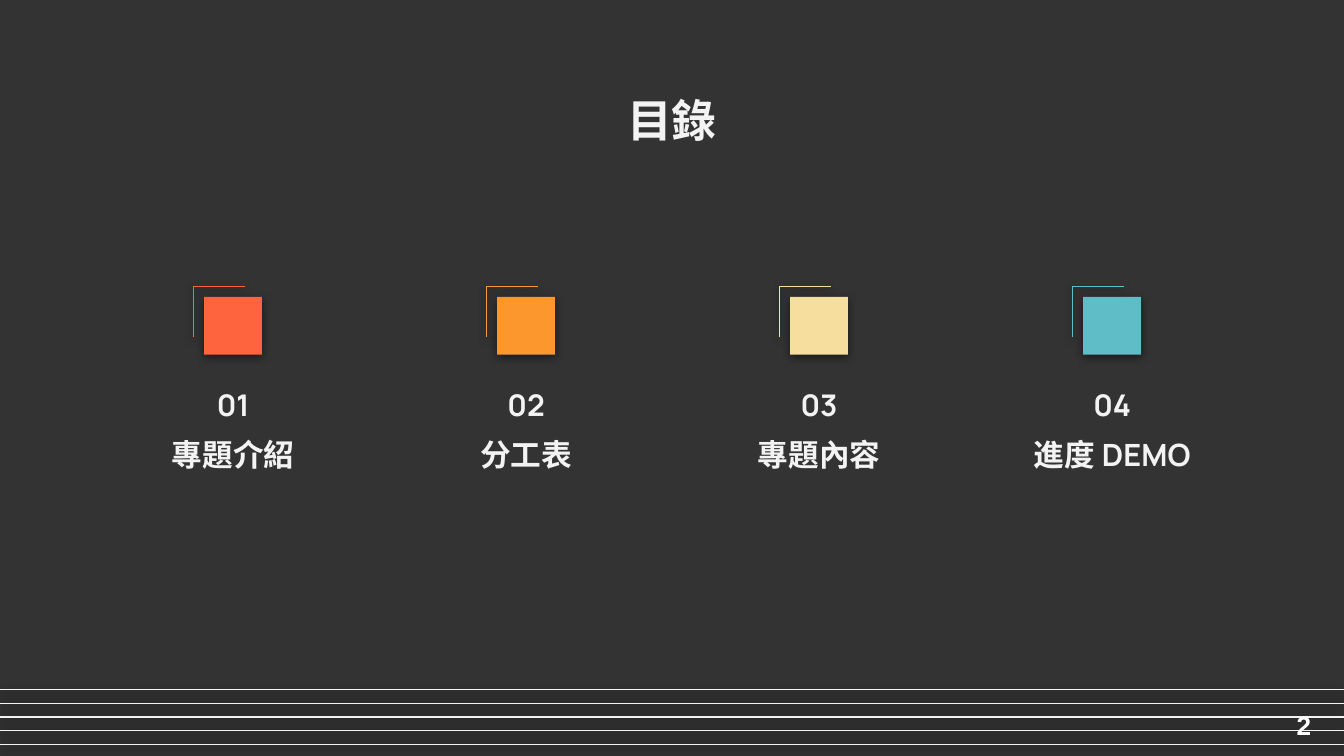
"""Build the contents slide with four numbered topics."""
from lxml import etree
from pptx import Presentation
from pptx import util as u
from pptx.dml.color import RGBColor
from pptx.enum import shapes, text

TITLE = "目錄"
TOPICS = [
    ("01", "專題介紹", "FE643E"),
    ("02", "分工表", "FC972D"),
    ("03", "專題內容", "F6DE9E"),
    ("04", "進度 DEMO", "5EBDC6"),
]
PAGE = "2"
PALE, WHITE, DARK = "F3F3F3", "FFFFFF", "333333"
FONT = "Manrope"
SLIDE_WIDTH = 10
SLIDE_HEIGHT = SLIDE_WIDTH * 9 / 16
TEXT_LEFT, SQUARE_LEFT, CORNER_LEFT = 0.7, 1.52, 1.44
COLUMN_STEP, COLUMN_WIDTH = 2.18, 2.07
SQUARE, CORNER = 0.43, 0.38
STAFF_TOP, STAFF_BOTTOM, STAFF_COUNT = 5.13, 5.54, 5

SHADOW = (
    '<a:effectLst xmlns:a="http://schemas.openxmlformats.org/drawingml/2006/main">'
    '<a:outerShdw blurRad="63500" dist="19050" dir="5400000" algn="bl" rotWithShape="0">'
    '<a:srgbClr val="000000"><a:alpha val="50000"/></a:srgbClr>'
    "</a:outerShdw></a:effectLst>"
)


def color(value):
    return RGBColor.from_string(value)


def box(left, top, width, height):
    return [u.Inches(n) for n in (left, top, width, height)]


def cast_shadow(part):
    part._element.spPr.append(etree.fromstring(SHADOW))


def draw_line(part, tint):
    part.line.color.rgb = color(tint)
    part.line.width = u.Pt(0.75)
    cast_shadow(part)


def write(part, words, size, anchor=text.MSO_ANCHOR.TOP, font=FONT, tint=PALE,
          align=text.PP_ALIGN.CENTER, inset=0.1, wrap=True):
    frame = part.text_frame
    frame.text = words
    frame.word_wrap = wrap
    frame.auto_size = text.MSO_AUTO_SIZE.NONE
    frame.vertical_anchor = anchor
    frame.margin_left = frame.margin_right = u.Inches(0.1)
    frame.margin_top = frame.margin_bottom = u.Inches(inset)
    line = frame.paragraphs[0]
    line.alignment = align
    style = line.runs[0].font
    style.name, style.size, style.bold = font, u.Pt(size), True
    style.color.rgb = color(tint)


def add_topic(slide, column, number, label, tint):
    shift = column * COLUMN_STEP
    number_box = slide.shapes.add_textbox(*box(TEXT_LEFT + shift, 2.75, COLUMN_WIDTH, 0.52))
    write(number_box, number, 16, text.MSO_ANCHOR.MIDDLE)
    label_box = slide.shapes.add_textbox(*box(TEXT_LEFT + shift, 3.14, COLUMN_WIDTH, 0.53))
    write(label_box, label, 16.4)

    square = slide.shapes.add_shape(
        shapes.MSO_SHAPE.RECTANGLE, *box(SQUARE_LEFT + shift, 2.21, SQUARE, SQUARE))
    square.fill.solid()
    square.fill.fore_color.rgb = color(tint)
    square.line.fill.background()
    cast_shadow(square)

    x, y = CORNER_LEFT + shift, 2.13
    outline = slide.shapes.build_freeform(u.Inches(x), u.Inches(y + CORNER))
    outline.add_line_segments(
        [(u.Inches(x), u.Inches(y)), (u.Inches(x + CORNER), u.Inches(y))], close=False)
    corner = outline.convert_to_shape()
    corner.fill.background()
    draw_line(corner, tint)


def main():
    deck = Presentation()
    deck.slide_width, deck.slide_height = u.Inches(SLIDE_WIDTH), u.Inches(SLIDE_HEIGHT)
    slide = deck.slides.add_slide(deck.slide_layouts[5])
    slide.background.fill.solid()
    slide.background.fill.fore_color.rgb = color(DARK)

    title = slide.shapes.title
    title.left, title.top, title.width, title.height = box(0.78, 0.59, 8.44, 0.67)
    write(title, TITLE, 24)

    for column, topic in enumerate(TOPICS):
        add_topic(slide, column, *topic)

    staff = slide.shapes.add_group_shape()
    gap = (STAFF_BOTTOM - STAFF_TOP) / (STAFF_COUNT - 1)
    for row in range(STAFF_COUNT):
        y = u.Inches(STAFF_TOP + row * gap)
        draw_line(staff.shapes.add_connector(
            shapes.MSO_CONNECTOR.STRAIGHT, 0, y, u.Inches(10.01), y), PALE)

    page = slide.shapes.add_textbox(*box(9.55, 5.23, 0.42, 0.34))
    write(page, PAGE, 14, font="Arial", tint=WHITE,
          align=text.PP_ALIGN.LEFT, inset=0.05, wrap=False)
    deck.save("out.pptx")


if __name__ == "__main__":
    main()
